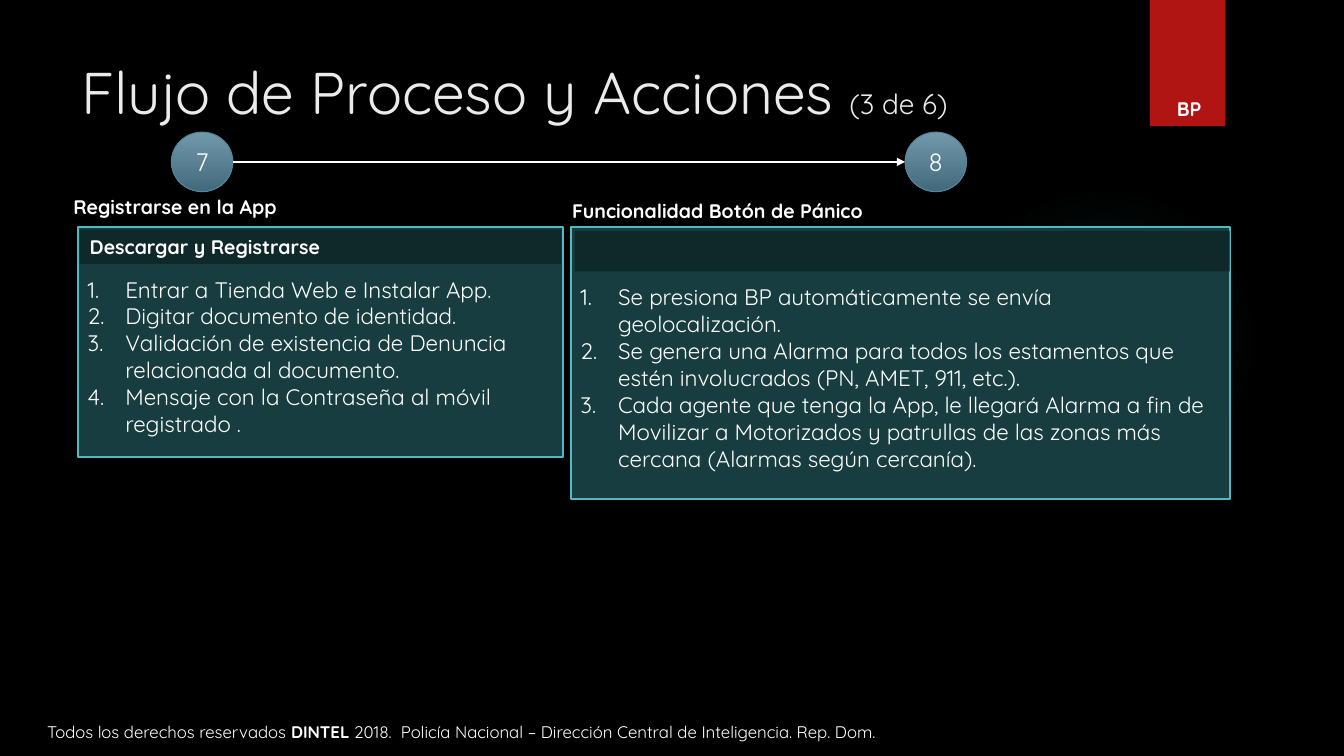
import lxml.etree
import pptx
import pptx.dml.color
import pptx.enum.shapes
import pptx.enum.text
import pptx.oxml.ns
import pptx.util

Cm, Pt = pptx.util.Cm, pptx.util.Pt
RGBColor = pptx.dml.color.RGBColor
SHAPE = pptx.enum.shapes.MSO_SHAPE
ALIGN = pptx.enum.text.PP_ALIGN
ANCHOR = pptx.enum.text.MSO_ANCHOR
qn = pptx.oxml.ns.qn

BLACK = RGBColor(0x00, 0x00, 0x00)
WHITE = RGBColor(0xFF, 0xFF, 0xFF)
PALE = RGBColor(0xEB, 0xEB, 0xEB)
RED = RGBColor(0xB0, 0x15, 0x13)
AQUA = RGBColor(0x50, 0xB9, 0xC1)
TEAL = RGBColor(0x17, 0x3D, 0x40)
DARK = RGBColor(0x0F, 0x28, 0x2A)
LIGHT = RGBColor(0x71, 0x98, 0xAB)
STEEL = RGBColor(0x43, 0x6A, 0x7C)
EDGE = RGBColor(0x54, 0x84, 0x9A)

BASE = {"name": "Quicksand", "size": Pt(16), "bold": False}
HEAD = {"size": Pt(14), "bold": True}

LEFT_STEPS = [
    "Entrar a Tienda Web e Instalar App.",
    "Digitar documento de identidad.",
    "Validación de existencia de Denuncia relacionada al documento.",
    "Mensaje con la Contraseña al móvil registrado .",
]
RIGHT_STEPS = [
    "Se presiona BP automáticamente se envía geolocalización.",
    "Se genera una Alarma para todos los estamentos que estén "
    "involucrados (PN, AMET, 911, etc.).",
    "Cada agente que tenga la App, le llegará Alarma a fin de Movilizar a "
    "Motorizados y patrullas de las zonas más cercana (Alarmas según cercanía).",
]


def add_node(top, tag, **attrs):
    """Add one drawing element with its attributes."""
    node = lxml.etree.SubElement(top, qn(tag))
    for key, value in attrs.items():
        node.set(key, str(value))
    return node


def add_run(par, text, style=None, color=WHITE):
    run = par.add_run()
    run.text = text
    for key, value in {**BASE, **(style or {})}.items():
        setattr(run.font, key, value)
    run.font.color.rgb = color


def add_label(shapes, box, runs, color=WHITE, align=ALIGN.LEFT, wrap=True):
    """Add a one-paragraph text box from (text, style) pairs."""
    frame = shapes.add_textbox(*map(Cm, box)).text_frame
    frame.word_wrap = wrap
    par = frame.paragraphs[0]
    par.alignment = align
    for text, style in runs:
        add_run(par, text, style, color)


def add_block(shapes, kind, box, fill=None, line=None, width=0):
    block = shapes.add_shape(kind, *map(Cm, box))
    block.shadow.inherit = False
    if fill is not None:
        block.fill.solid()
        block.fill.fore_color.rgb = fill
    if line is None:
        block.line.fill.background()
    else:
        block.line.color.rgb = line
        block.line.width = Pt(width)
    return block


def add_glow(shapes, box):
    """Add a faint round glow that fades outwards."""
    glow = add_block(shapes, SHAPE.OVAL, box)
    grad = lxml.etree.Element(qn("a:gradFill"))
    stops = add_node(grad, "a:gsLst")
    for place, alpha in ((0, 7), (36, 6), (69, 0)):
        stop = add_node(stops, "a:gs", pos=place * 1000)
        color = add_node(stop, "a:srgbClr", val=AQUA)
        add_node(color, "a:alpha", val=alpha * 1000)
    shade = add_node(grad, "a:path", path="circle")
    add_node(shade, "a:fillToRect", l=50000, t=50000, r=50000, b=50000)
    glow.element.spPr.find(qn("a:prstGeom")).addnext(grad)


def add_badge(shapes, left, top, wide, high, text):
    """Add a numbered circle."""
    badge = add_block(shapes, SHAPE.OVAL, (left, top, wide, high),
                      line=EDGE, width=0.75)
    badge.fill.gradient()
    badge.fill.gradient_angle = 270
    for stop, color, place in zip(badge.fill.gradient_stops,
                                  (LIGHT, STEEL), (0, 1)):
        stop.color.rgb = color
        stop.position = place
    frame = badge.text_frame
    frame.vertical_anchor = ANCHOR.MIDDLE
    frame.paragraphs[0].alignment = ALIGN.CENTER
    add_run(frame.paragraphs[0], text, {"size": Pt(18)})


def add_arrow(shapes, start, end, y):
    arrow = shapes.add_connector(pptx.enum.shapes.MSO_CONNECTOR.STRAIGHT,
                                 Cm(start), Cm(y), Cm(end), Cm(y))
    arrow.line.color.rgb = WHITE
    arrow.line.width = Pt(1.25)
    add_node(arrow.line._get_or_add_ln(), "a:tailEnd", type="triangle")
    add_node(arrow.element.spPr, "a:effectLst")


def add_panel(shapes, box, band, steps, title=None):
    """Add a framed list of numbered steps with a dark band on top."""
    group = shapes.add_group_shape().shapes
    frame = add_block(group, SHAPE.RECTANGLE, box, TEAL, AQUA, 1.5).text_frame
    frame.word_wrap = True
    frame.vertical_anchor = ANCHOR.MIDDLE
    frame.margin_top = Cm(0.85)
    for i, step in enumerate(steps):
        par = frame.add_paragraph() if i else frame.paragraphs[0]
        par.alignment = ALIGN.LEFT
        props = par._p.get_or_add_pPr()
        props.set("marL", str(Cm(0.95)))
        props.set("indent", str(-Cm(0.95)))
        add_node(props, "a:buFont", typeface="+mj-lt")
        add_node(props, "a:buAutoNum", type="arabicPeriod")
        add_run(par, step)

    strip = add_block(group, SHAPE.RECTANGLE, band, DARK)
    if title:
        par = strip.text_frame.paragraphs[0]
        par.alignment = ALIGN.LEFT
        add_run(par, title, HEAD)


def main():
    deck = pptx.Presentation()
    deck.slide_width, deck.slide_height = Cm(33.87), Cm(19.05)
    slide = deck.slides.add_slide(deck.slide_layouts[6])
    slide.background.fill.solid()
    slide.background.fill.fore_color.rgb = BLACK
    shapes = slide.shapes

    # Backdrop and red tab
    add_glow(shapes, (23.9, 4.65, 7.82, 7.82))
    add_block(shapes, SHAPE.RECTANGLE, (28.98, 0, 1.9, 3.18), RED)
    add_label(shapes, (28.7, 2.31, 2.54, 0.99), [("BP", HEAD)],
              align=ALIGN.CENTER)

    # Title and footer
    add_label(shapes, (1.8, 1.27, 26.14, 3.89),
              [("Flujo de Proceso y Acciones ", {"size": Pt(42)}),
               ("(3 de 6)", {"size": Pt(20)})], PALE)
    small = {"size": Pt(12)}
    add_label(shapes, (0.94, 18.06, 24.84, 0.99),
              [("Todos los derechos reservados ", small),
               ("DINTEL", {**small, "bold": True}),
               (" 2018.  Policía Nacional – Dirección Central de "
                "Inteligencia. Rep. Dom.", small)], align=ALIGN.JUSTIFY)

    # Numbered steps joined by an arrow
    top, wide, high = 3.33, 1.55, 1.5
    first, last = 4.32, 22.81
    for left, text in ((first, "7"), (last, "8")):
        add_badge(shapes, left, top, wide, high, text)
    add_arrow(shapes, first + wide, last, top + high / 2)

    # Captions and panels
    for box, text in (
            ((1.6, 4.78, 5.64, 0.86), "Registrarse en la App"),
            ((14.17, 4.88, 8.08, 0.86), "Funcionalidad Botón de Pánico")):
        add_label(shapes, box, [(text, HEAD)], wrap=False)
    add_panel(shapes, (14.38, 5.72, 16.61, 6.86), (14.48, 5.82, 16.51, 1.02),
              RIGHT_STEPS)
    add_panel(shapes, (1.96, 5.72, 12.22, 5.79), (2.01, 5.79, 12.14, 0.86),
              LEFT_STEPS, "Descargar y Registrarse")

    deck.save("out.pptx")


if __name__ == "__main__":
    main()
